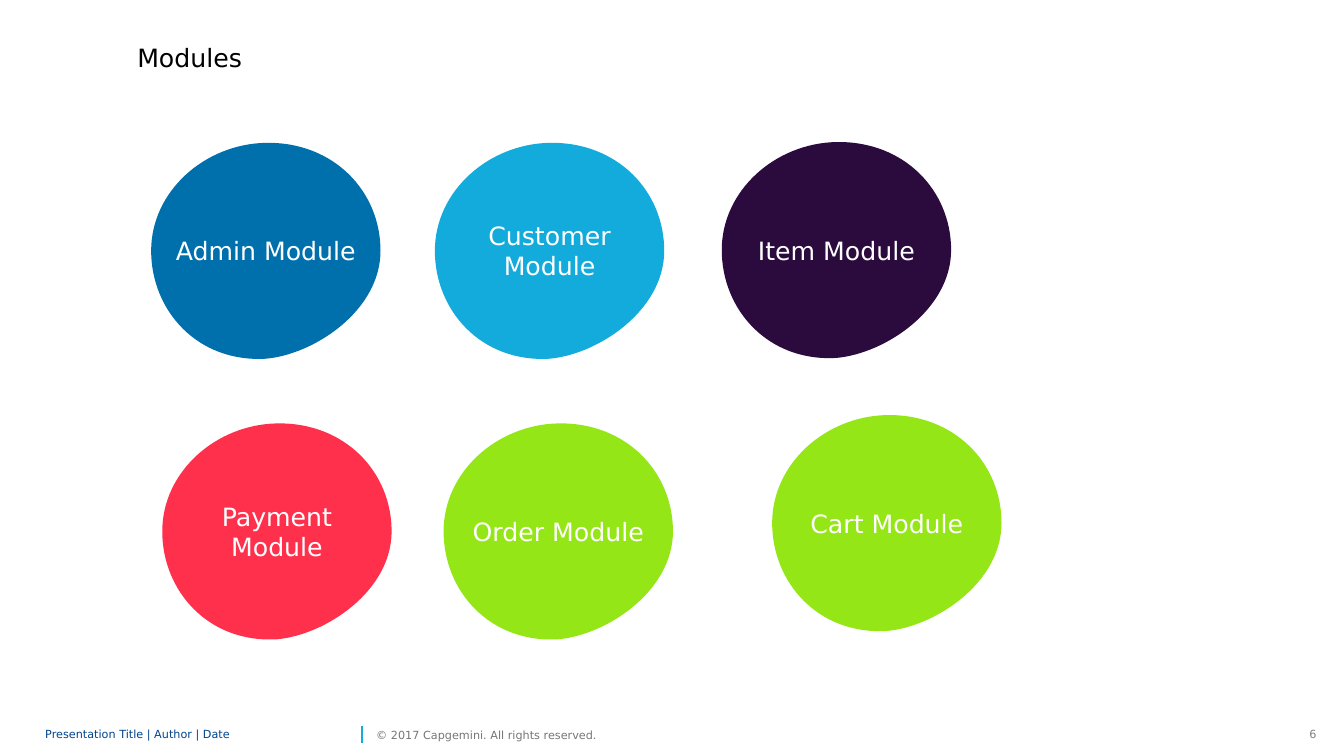
from pptx import Presentation
from pptx.dml.color import RGBColor
from pptx.enum.shapes import MSO_CONNECTOR
from pptx.enum.text import MSO_ANCHOR, PP_ALIGN
from pptx.oxml.ns import qn
from pptx.util import Cm, Pt
from lxml import etree

FONT = "DejaVu Sans"
LEFT, CENTER, RIGHT = PP_ALIGN.LEFT, PP_ALIGN.CENTER, PP_ALIGN.RIGHT
TOP, MIDDLE = MSO_ANCHOR.TOP, MSO_ANCHOR.MIDDLE
STRAIGHT = MSO_CONNECTOR.STRAIGHT


def color(value):
    return RGBColor.from_string(value)


def write(shape, text, size, font_color, align, anchor, wrap=True):
    frame = shape.text_frame
    frame.word_wrap = wrap
    frame.vertical_anchor = anchor
    paragraph = frame.paragraphs[0]
    paragraph.text = text
    paragraph.alignment = align
    paragraph.font.name = FONT
    paragraph.font.size = Pt(size)
    paragraph.font.color.rgb = color(font_color)
    return frame


presentation = Presentation()
presentation.slide_width = Cm(33.87)
presentation.slide_height = Cm(19.05)
slide = presentation.slides.add_slide(presentation.slide_layouts[6])

title = slide.shapes.add_textbox(Cm(3.21), Cm(0.94), Cm(15.93), Cm(1.02))
write(title, "Modules", 18, "000000", LEFT, TOP)

blob_start = (0, 2.72)
blob_curves = [
    ((0, 1.22), (1.35, 0.03), (2.89, 0)),
    ((4.6, -0.03), (5.78, 1.22), (5.78, 2.72)),
    ((5.78, 4.22), (4.12, 5.33), (2.89, 5.44)),
    ((1.16, 5.54), (0, 4.22), (0, 2.72)),
]
modules = [
    ("Admin Module", 3.81, 3.6, "0070AD"),
    ("Customer Module", 10.96, 3.6, "12ABDB"),
    ("Item Module", 18.19, 3.58, "2B0A3D"),
    ("Payment Module", 4.09, 10.67, "FF304C"),
    ("Order Module", 11.18, 10.67, "95E616"),
    ("Cart Module", 19.46, 10.46, "95E616"),
]
for name, left, top, fill in modules:
    anchors = [blob_start] + [curve[-1] for curve in blob_curves]
    outline = [(Cm(left + x), Cm(top + y)) for x, y in anchors]
    builder = slide.shapes.build_freeform(*outline[0])
    builder.add_line_segments(outline[1:], close=True)
    blob = builder.convert_to_shape()
    segments = list(blob._element.iter(qn("a:lnTo")))
    for segment, curve in zip(segments, blob_curves):
        bezier = etree.Element(qn("a:cubicBezTo"))
        for x, y in curve:
            etree.SubElement(bezier, qn("a:pt"), x=str(Cm(x)), y=str(Cm(y)))
        segment.getparent().replace(segment, bezier)
    blob.shadow.inherit = False
    blob.fill.solid()
    blob.fill.fore_color.rgb = color(fill)
    blob.line.fill.background()
    write(blob, name, 18, "FFFFFF", CENTER, MIDDLE)

footers = [
    ("Presentation Title | Author | Date", 1.14, 7.85, "00458D", True, 0.85),
    ("© 2017 Capgemini. All rights reserved.", 9.48, 6.17, "767676", False, 1.0),
]
for text, left, width, font_color, wrap, spacing in footers:
    footer = slide.shapes.add_textbox(Cm(left), Cm(18.21), Cm(width), Cm(0.61))
    frame = write(footer, text, 8, font_color, LEFT, MIDDLE, wrap)
    frame.margin_left = frame.margin_right = frame.margin_top = frame.margin_bottom = 0
    frame.paragraphs[0].line_spacing = spacing

divider = slide.shapes.add_connector(STRAIGHT, Cm(9.12), Cm(18.72), Cm(9.12), Cm(18.29))
divider.line.color.rgb = color("12ABDB")
divider.line.width = Pt(1)
etree.SubElement(divider._element.spPr, qn("a:effectLst"))

page_number = slide.shapes.add_textbox(Cm(32.74), Cm(18.21), Cm(0.69), Cm(0.61))
write(page_number, "6", 8, "808080", RIGHT, TOP, False)

presentation.save("out.pptx")
